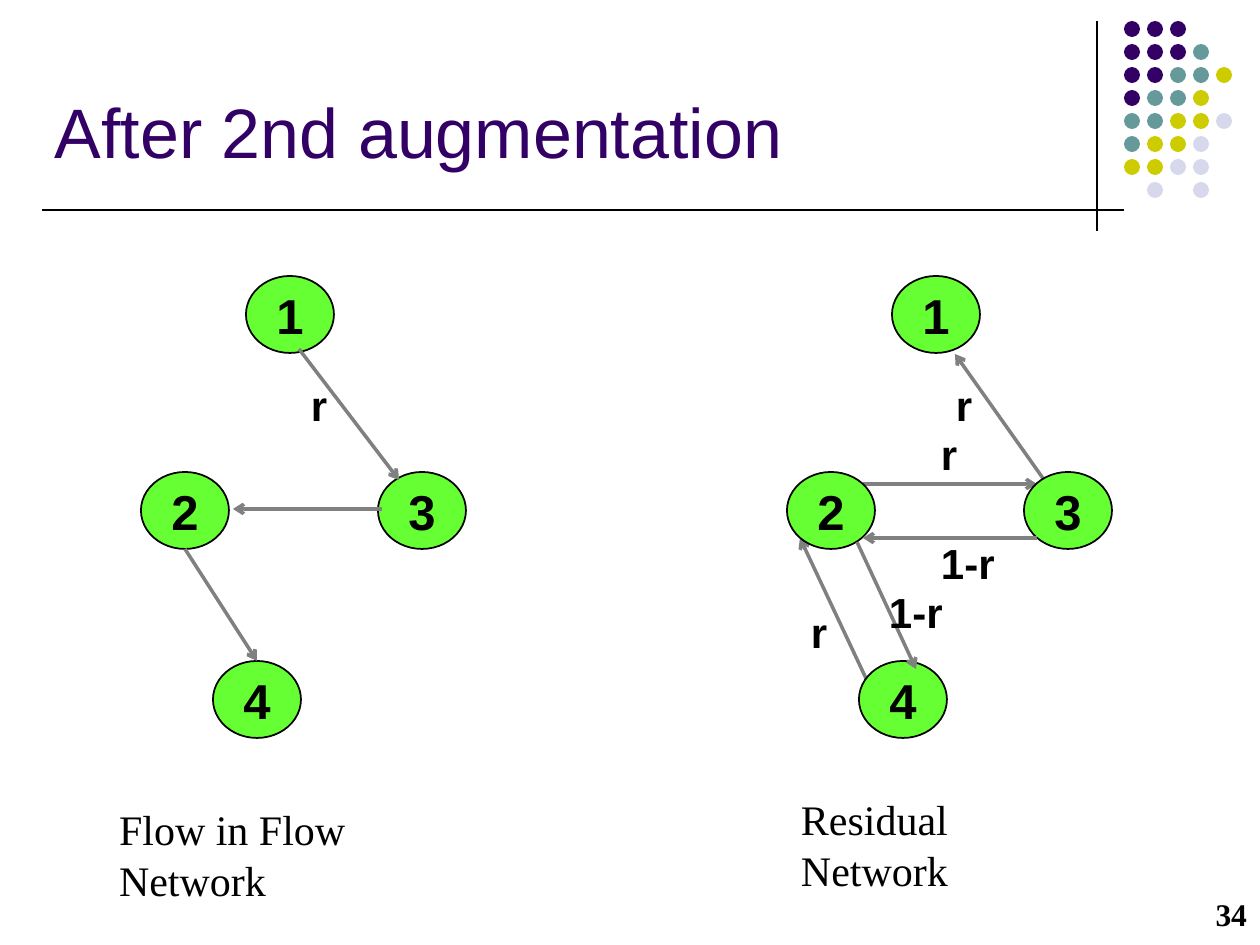
from dataclasses import dataclass

from lxml import etree
from pptx import Presentation
from pptx import util as u
from pptx.dml.color import RGBColor
from pptx.enum import shapes, text
from pptx.oxml import ns

EMU_PER_PX = 914400 / 126
SANS, SERIF = "Arial", "Times New Roman"
COLOURS = {
    "black": "000000",
    "purple": "330066",
    "teal": "669999",
    "olive": "CCCC00",
    "lilac": "D8D8EC",
    "node": "66FF33",
    "edge": "808080",
}

DOT_ROWS = ["PPP", "PPPT", "PPTTO", "PTTO", "TTOOL", "TOOL", "OOLL", " L L"]
DOT_COLOURS = {"P": "purple", "T": "teal", "O": "olive", "L": "lilac"}
DOT_LEFT, DOT_TOP, DOT_SIZE, DOT_PITCH = 1124, 21, 16, 23

NODE_WIDTH, NODE_HEIGHT = 88, 77
NODE_PLACES = {"1": (105, 276), "2": (0, 472), "3": (237, 472), "4": (72, 661)}
LABEL_HEIGHT = 63
INSET_X, INSET_Y = 13, 6
SPACE_WIDTH = 12


@dataclass
class Line:
    start: tuple[int, int]
    end: tuple[int, int]
    colour: str = "edge"
    points: float = 2
    arrow: bool = True


@dataclass
class Label:
    words: str
    left: int
    top: int
    width: int
    height: int = LABEL_HEIGHT
    indent: int = 0
    font: str = SANS
    size: int = 24
    bold: bool = True
    colour: str = "black"
    wrap: bool = True
    align: text.PP_ALIGN = text.PP_ALIGN.LEFT
    anchor: text.MSO_ANCHOR = text.MSO_ANCHOR.TOP


@dataclass
class Network:
    left: int
    caption: Label
    edges_behind: list[Line]
    edges_in_front: list[Line]
    labels: list[Label]


RULES = [
    Line((1097, 21), (1097, 231), "black", 0.75, False),
    Line((42, 210), (1124, 210), "black", 0.75, False),
]
TITLE = Label("After 2nd augmentation", 42, 73, 1134, 105, size=40, bold=False,
              colour="purple", anchor=text.MSO_ANCHOR.BOTTOM)
PAGE_NUMBER = Label("34", 1018, 882, 242, font=SERIF, size=18,
                    align=text.PP_ALIGN.RIGHT, anchor=text.MSO_ANCHOR.MIDDLE)
NETWORKS = [
    Network(
        left=141,
        caption=Label("Flow in Flow Network", 106, 798, 408,
                      font=SERIF, bold=False, wrap=False),
        edges_behind=[],
        edges_in_front=[
            Line((299, 349), (399, 480)),
            Line((185, 549), (257, 661)),
            Line((382, 509), (233, 509)),
        ],
        labels=[Label("r", 286, 374, 77, indent=SPACE_WIDTH)],
    ),
    Network(
        left=787,
        caption=Label("Residual Network", 788, 788, 329,
                      font=SERIF, bold=False, wrap=False),
        edges_behind=[
            Line((1047, 484), (955, 354)),
            Line((863, 484), (1037, 484)),
            Line((871, 689), (800, 538)),
        ],
        edges_in_front=[
            Line((857, 542), (916, 669)),
            Line((1037, 538), (863, 538)),
        ],
        labels=[
            Label("r", 798, 601, 39),
            Label("r", 916, 423, 58, indent=SPACE_WIDTH),
            Label("r", 931, 374, 77, indent=SPACE_WIDTH),
            Label("1-r", 916, 532, 131, indent=SPACE_WIDTH),
            Label("1-r", 876, 581, 129),
        ],
    ),
]


def px(*lengths: int) -> list[u.Emu]:
    return [u.Emu(round(length * EMU_PER_PX)) for length in lengths]


def rgb(name: str) -> RGBColor:
    return RGBColor.from_string(COLOURS[name])


def draw_line(page, line: Line) -> None:
    connector = page.shapes.add_connector(
        shapes.MSO_CONNECTOR.STRAIGHT, *px(*line.start, *line.end))
    connector.line.color.rgb = rgb(line.colour)
    connector.line.width = u.Pt(line.points)
    if line.arrow:
        outline = connector.line._get_or_add_ln()
        etree.SubElement(outline, ns.qn("a:tailEnd"), type="arrow")
    etree.SubElement(connector._element.spPr, ns.qn("a:effectLst"))


def write(box, label: Label) -> None:
    """Put the label's words and text settings into a box or shape."""
    frame = box.text_frame
    frame.word_wrap = label.wrap
    frame.vertical_anchor = label.anchor
    frame.margin_left, frame.margin_right = px(INSET_X + label.indent, INSET_X)
    frame.margin_top = frame.margin_bottom = px(INSET_Y)[0]
    para = frame.paragraphs[0]
    para.text = label.words
    para.alignment = label.align
    para.font.name = label.font
    para.font.size = u.Pt(label.size)
    para.font.bold = label.bold
    para.font.color.rgb = rgb(label.colour)


def draw_label(page, label: Label) -> None:
    box = page.shapes.add_textbox(
        *px(label.left, label.top, label.width, label.height))
    write(box, label)


def add_ellipse(parent, left: int, top: int, width: int, height: int, fill: str):
    ellipse = parent.shapes.add_shape(
        shapes.MSO_SHAPE.OVAL, *px(left, top, width, height))
    ellipse.shadow.inherit = False
    ellipse.fill.solid()
    ellipse.fill.fore_color.rgb = rgb(fill)
    ellipse.line.fill.background()
    return ellipse


def draw_node(page, name: str, left: int, top: int) -> None:
    node = add_ellipse(page, left, top, NODE_WIDTH, NODE_HEIGHT, "node")
    node.line.color.rgb = rgb("black")
    node.line.width = u.Pt(1)
    write(node, Label(name, left, top, NODE_WIDTH, NODE_HEIGHT, size=28, wrap=False,
                      align=text.PP_ALIGN.CENTER, anchor=text.MSO_ANCHOR.MIDDLE))


def draw_dots(page) -> None:
    group = page.shapes.add_group_shape()
    for row, codes in enumerate(DOT_ROWS):
        for column, code in enumerate(codes):
            if code in DOT_COLOURS:
                add_ellipse(group, DOT_LEFT + column * DOT_PITCH,
                            DOT_TOP + row * DOT_PITCH,
                            DOT_SIZE, DOT_SIZE, DOT_COLOURS[code])


def draw_network(page, network: Network) -> None:
    for edge in network.edges_behind:
        draw_line(page, edge)
    for name, (offset, top) in NODE_PLACES.items():
        draw_node(page, name, network.left + offset, top)
    for edge in network.edges_in_front:
        draw_line(page, edge)
    for label in [*network.labels, network.caption]:
        draw_label(page, label)


def main() -> None:
    deck = Presentation()
    deck.slide_width, deck.slide_height = px(1260, 945)
    page = deck.slides.add_slide(deck.slide_layouts[6])
    for rule in RULES:
        draw_line(page, rule)
    draw_dots(page)
    for network in NETWORKS:
        draw_network(page, network)
    draw_label(page, TITLE)
    draw_label(page, PAGE_NUMBER)
    deck.save("out.pptx")


if __name__ == "__main__":
    main()
